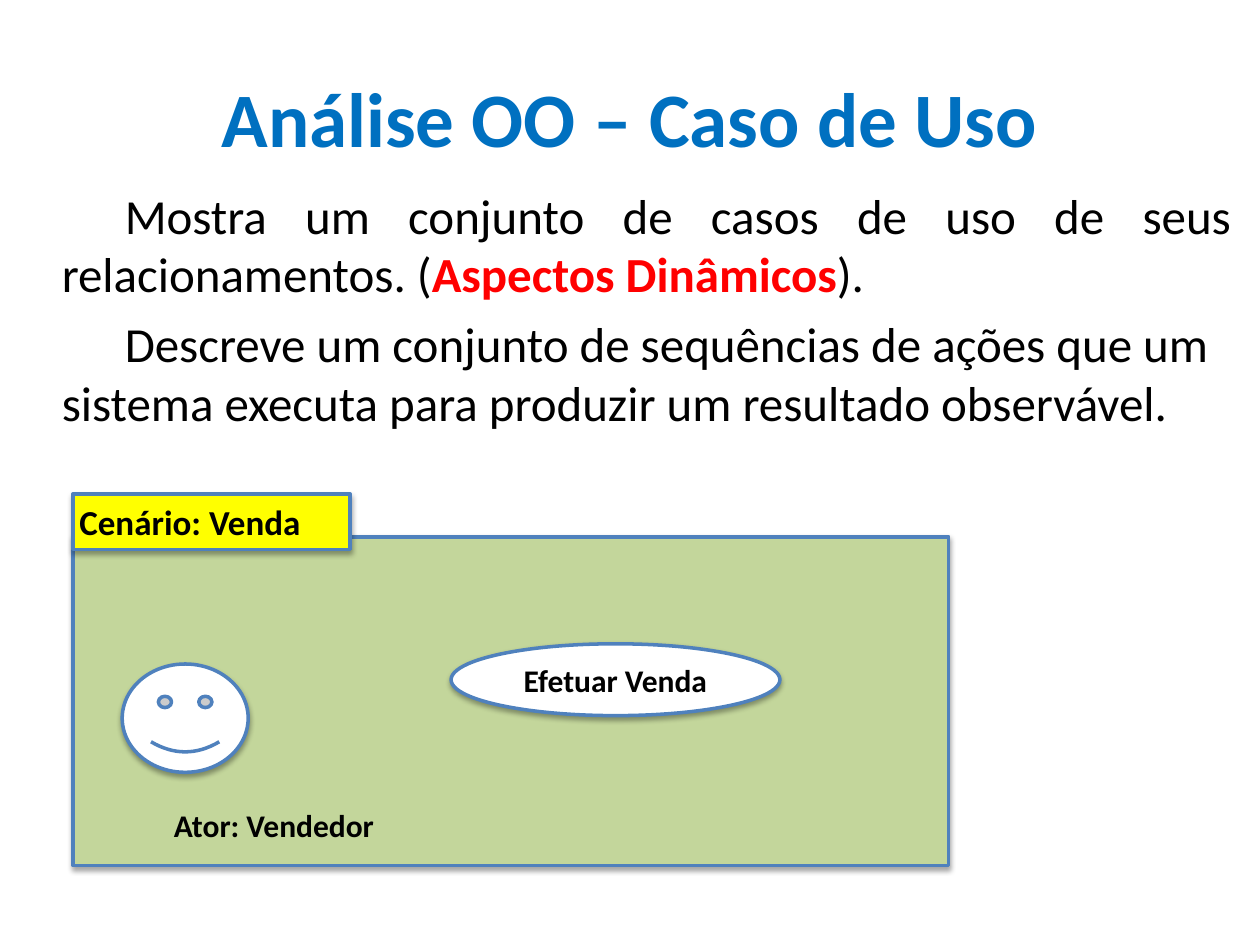
import pptx
import pptx.util
import pptx.dml.color
import pptx.enum.shapes
import pptx.enum.text
import pptx.oxml

UNIT = 0.1
BLACK, WHITE, RED, TITLE_BLUE = "000000", "FFFFFF", "FF0000", "0070C0"
GREEN, YELLOW, EDGE_BLUE = "C3D69B", "FFFF00", "4F81BD"
SHAPE = pptx.enum.shapes.MSO_SHAPE
ALIGN = pptx.enum.text.PP_ALIGN
ANCHOR = pptx.enum.text.MSO_ANCHOR
SHADOW = (
    '<a:outerShdw xmlns:a="http://schemas.openxmlformats.org/drawingml/2006/main" '
    'blurRad="38100" dist="22860" dir="5400000" rotWithShape="0">'
    '<a:srgbClr val="000000"><a:alpha val="35000"/></a:srgbClr></a:outerShdw>'
)


def rgb(value):
    """Return a colour from a hex string."""
    return pptx.dml.color.RGBColor.from_string(value)


def grid(*cells):
    """Turn columns and rows of the slide grid into lengths."""
    return [pptx.util.Inches(n * UNIT) for n in cells]


def assign(obj, values):
    """Set attributes from a dict of format values."""
    for name, value in values.items():
        setattr(obj, name, value)


def add_run(p, text, size, color=BLACK, bold=True):
    """Add one formatted run to a paragraph."""
    r = p.add_run()
    r.text = text
    assign(r.font, {"name": "Calibri", "size": pptx.util.Pt(size), "bold": bold})
    r.font.color.rgb = rgb(color)


def format_frame(tf, anchor):
    """Set wrapping, margins and anchor of a text frame."""
    sides = ("left", "top", "right", "bottom")
    margins = {f"margin_{side}": pptx.util.Inches(0.05) for side in sides}
    assign(tf, {"word_wrap": True, "vertical_anchor": anchor, **margins})


def write_line(tf, text, size, color=BLACK, align=ALIGN.LEFT, anchor=ANCHOR.MIDDLE):
    """Write a single bold line in a text frame."""
    format_frame(tf, anchor)
    tf.paragraphs[0].alignment = align
    add_run(tf.paragraphs[0], text, size, color)


def add_box(slide, at):
    """Add a text box and return its text frame."""
    return slide.shapes.add_textbox(*grid(*at)).text_frame


def add_figure(slide, kind, at, fill):
    """Add an outlined shape with a soft shadow."""
    sp = slide.shapes.add_shape(kind, *grid(*at))
    sp.fill.solid()
    sp.fill.fore_color.rgb = rgb(fill)
    sp.line.color.rgb = rgb(EDGE_BLUE)
    sp.line.width = pptx.util.Pt(2)
    sp.shadow.inherit = False
    effects = sp._element.spPr.find(pptx.oxml.ns.qn("a:effectLst"))
    effects.append(pptx.oxml.parse_xml(SHADOW))
    return sp.text_frame


def add_body(slide, at, paragraphs):
    """Add paragraphs with an indented first line."""
    tf = add_box(slide, at)
    format_frame(tf, ANCHOR.TOP)
    for i, (align, runs) in enumerate(paragraphs):
        p = tf.add_paragraph() if i else tf.paragraphs[0]
        assign(p, {"alignment": align, "space_before": pptx.util.Pt(6)})
        p._p.get_or_add_pPr().set("indent", str(pptx.util.Inches(0.5)))
        for text, color, bold in runs:
            add_run(p, text, 28, color, bold)


def main():
    """Build the use case slide."""
    prs = pptx.Presentation()
    assign(prs, {"slide_width": pptx.util.Inches(10), "slide_height": pptx.util.Inches(7.5)})
    slide = prs.slides.add_slide(prs.slide_layouts[6])

    write_line(add_box(slide, (5, 3, 90, 12.5)), "Análise OO – Caso de Uso",
               44, TITLE_BLUE, ALIGN.CENTER)
    add_body(slide, (4.4, 14.2, 93.8, 54.4), [
        (ALIGN.JUSTIFY, [
            ("Mostra um conjunto de casos de uso de seus relacionamentos. (", BLACK, False),
            ("Aspectos Dinâmicos", RED, True),
            (").", BLACK, False)]),
        (ALIGN.LEFT, [
            ("Descreve um conjunto de sequências de ações que um sistema executa "
             "para produzir um resultado observável.", BLACK, False)]),
    ])

    add_figure(slide, SHAPE.RECTANGLE, (5.8, 42.6, 69.5, 26.1), GREEN)
    add_figure(slide, SHAPE.SMILEY_FACE, (9.7, 52.7, 10, 8.6), WHITE)
    use_case = add_figure(slide, SHAPE.OVAL, (35.8, 51.1, 26.1, 5.7), WHITE)
    write_line(use_case, "Efetuar Venda", 18, align=ALIGN.CENTER)
    scenario = add_figure(slide, SHAPE.RECTANGLE, (5.8, 39.2, 22, 4.4), YELLOW)
    write_line(scenario, "Cenário: Venda", 20)
    write_line(add_box(slide, (13.3, 63.5, 22.5, 4)), "Ator: Vendedor", 18, anchor=ANCHOR.TOP)

    prs.save("out.pptx")


main()
